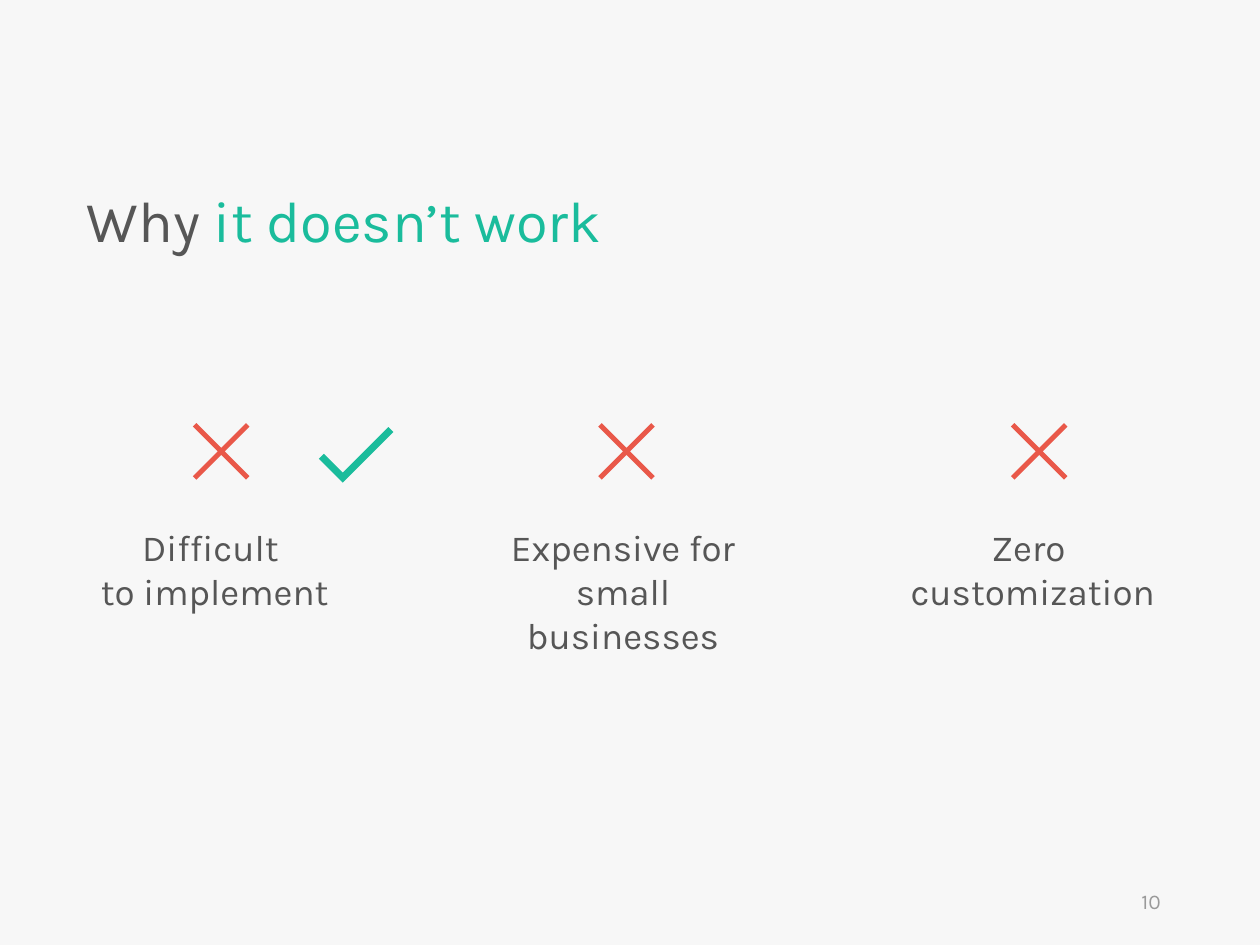
import pptx
import pptx.util
import pptx.dml.color
import pptx.enum.text

Cm, Pt = pptx.util.Cm, pptx.util.Pt
Align, Anchor = pptx.enum.text.PP_ALIGN, pptx.enum.text.MSO_ANCHOR

# Content
GREY, GREEN, RED, PALE = "565656", "1ABC9C", "E95849", "9A9A9A"
title = [("Why ", GREY), ("it doesn’t work", GREEN)]
# label, left of label, left of cross
points = [
    ("Difficult \vto implement", 1.75, 3.89),
    ("Expensive for small businesses", 9.98, 12.06),
    ("Zero \vcustomization", 18.24, 20.38),
]
number = "10"

# Outlines: half a cross is turned to give the other half
SIDE, ARM = 1.14, 0.07
MID = SIDE / 2
half = [(SIDE, ARM), (SIDE - ARM, 0), (MID, MID - ARM),
        (ARM, 0), (0, ARM), (MID - ARM, MID)]
cross = half + [(SIDE - x, SIDE - y) for x, y in half]
tick = [(1.4, 0), (0.48, 0.92), (0.1, 0.54), (0, 0.64), (0.48, 1.12), (1.5, 0.1)]

# Formats
inset = dict(margin_left=0, margin_right=Cm(0.25), margin_top=Cm(0.13),
             margin_bottom=Cm(0.13), word_wrap=True,
             auto_size=pptx.enum.text.MSO_AUTO_SIZE.NONE,
             vertical_anchor=Anchor.TOP)
center = dict(alignment=Align.CENTER)
head = dict(alignment=Align.LEFT, line_spacing=0.9, space_before=Pt(10))


def color(text):
    return pptx.dml.color.RGBColor.from_string(text)


def apply(item, values):
    for key, value in values.items():
        setattr(item, key, value)


def write(shape, runs, size, frame, para):
    apply(shape.text_frame, frame)
    line = shape.text_frame.paragraphs[0]
    apply(line, para)
    for text, tint in runs:
        for i, part in enumerate(text.split("\v")):
            if i:
                line.add_line_break()
            run = line.add_run()
            run.text = part
            apply(run.font, dict(name="Karla", size=Pt(size)))
            run.font.color.rgb = color(tint)


def label(box, *rest):
    write(slide.shapes.add_textbox(*map(Cm, box)), *rest)


def draw(outline, left, top, tint):
    dots = [(Cm(left + x), Cm(top + y)) for x, y in outline]
    pen = slide.shapes.build_freeform(*dots[0], scale=1.0)
    pen.add_line_segments(dots[1:], close=True)
    shape = pen.convert_to_shape()
    shape.shadow.inherit = False
    shape.fill.solid()
    shape.fill.fore_color.rgb = color(tint)
    shape.line.fill.background()


# Slide
deck = pptx.Presentation()
apply(deck, dict(slide_width=Cm(25.4), slide_height=Cm(19.05)))
slide = deck.slides.add_slide(deck.slide_layouts[5])
slide.background.fill.solid()
slide.background.fill.fore_color.rgb = color("F7F7F7")

# Title
name = slide.shapes.title
apply(name, dict(left=Cm(1.75), top=Cm(3.76), width=Cm(10.85), height=Cm(1.52)))
write(name, title, 33, inset, head)

# Points
for text, left, mark in points:
    label((left, 10.44, 5.41, 2.06), [(text, GREY)], 21, inset, center)
    draw(cross, mark, 8.53, RED)
draw(tick, 6.43, 8.61, GREEN)

# Slide number
label((17.93, 17.65, 5.72, 1.02), [(number, PALE)], 12,
      dict(word_wrap=True, vertical_anchor=Anchor.MIDDLE),
      dict(alignment=Align.RIGHT))

deck.save("out.pptx")
